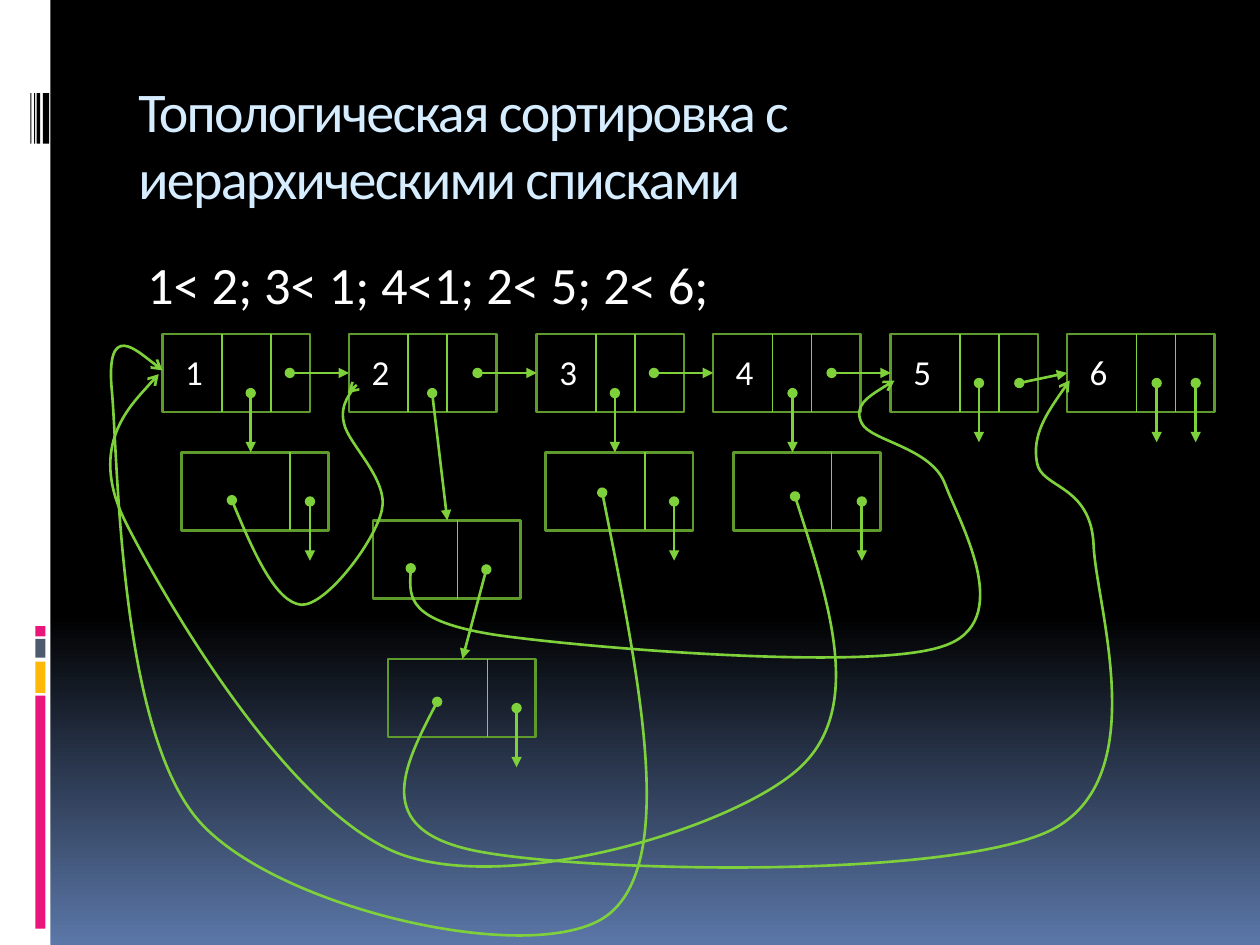
from dataclasses import dataclass
from itertools import pairwise
from lxml.etree import SubElement
from pptx import Presentation
from pptx.dml.color import RGBColor
from pptx.enum.shapes import MSO_CONNECTOR as Conn, MSO_SHAPE as Kind
from pptx.oxml.ns import qn
from pptx.util import Inches, Pt

BLACK = RGBColor(0x00, 0x00, 0x00)
WHITE = RGBColor(0xFF, 0xFF, 0xFF)
BLUE = RGBColor(0x5B, 0x77, 0xA8)
PALE = RGBColor(0xD6, 0xEC, 0xFF)
PINK = RGBColor(0xEA, 0x15, 0x7A)
GOLD = RGBColor(0xFE, 0xB8, 0x0A)
SLATE = RGBColor(0x4E, 0x5B, 0x6F)
GREEN = RGBColor(0x7F, 0xD1, 0x3B)
MOSS = RGBColor(0x5E, 0x9B, 0x2C)

WIDE, HIGH = 1.17, 0.62  # list cell
DROP = 0.47  # length of a short pointer
TOP, ROW = 2.65, 3.59  # leaders, first followers

Point = tuple[float, float]


@dataclass
class Bar:
    left: float
    top: float
    wide: float
    high: float
    color: RGBColor


@dataclass
class Cell:
    left: float
    top: float
    cuts: tuple[float, ...]
    label: str = ""


BARS = [
    Bar(0, 0, 0.4, 7.5, WHITE),
    Bar(0.28, 5.52, 0.08, 1.85, PINK),
    Bar(0.28, 5.25, 0.08, 0.25, GOLD),
    Bar(0.28, 5.07, 0.08, 0.15, SLATE),
    Bar(0.28, 4.97, 0.08, 0.08, PINK),
    Bar(0.34, 0.74, 0.05, 0.4, BLACK),
    Bar(0.29, 0.74, 0.03, 0.4, BLACK),
    Bar(0.27, 0.74, 0.01, 0.4, BLACK),
    Bar(0.24, 0.74, 0.01, 0.4, BLACK),
]
LEADS = [
    Cell(1.29, TOP, (0.47, 0.86), "1"),
    Cell(2.77, TOP, (0.47, 0.78), "2"),
    Cell(4.26, TOP, (0.47, 0.78), "3"),
    Cell(5.66, TOP, (0.47, 0.78), "4"),
    Cell(7.07, TOP, (0.55, 0.86), "5"),
    Cell(8.47, TOP, (0.55, 0.86), "6"),
]
TAILS = [
    Cell(1.44, ROW, (0.86,)),
    Cell(2.96, 4.13, (0.67,)),
    Cell(3.08, 5.23, (0.79,)),
    Cell(4.33, ROW, (0.79,)),
    Cell(5.82, ROW, (0.78,)),
]
# Start points of the short vertical pointers
DROPS = [(1.99, 3.12), (4.88, 3.12), (6.29, 3.12),
         (7.77, 3.04), (9.18, 3.04), (9.49, 3.04),
         (2.46, 3.98), (5.35, 3.98), (6.84, 3.98), (4.1, 5.62)]
SLANTS = [((3.43, 3.12), (3.55, 4.13)), ((3.86, 4.52), (3.67, 5.23))]
# Each curve: a start point, then three Bezier points per piece
CURVES = [
    [(1.84, 3.97), (2.01, 4.38), (2.19, 4.78), (2.39, 4.8),
     (2.59, 4.81), (2.98, 4.29), (3.03, 4.05),
     (3.09, 3.81), (2.76, 3.52), (2.73, 3.36),
     (2.69, 3.2), (2.8, 3.11), (2.81, 3.07),
     (2.81, 3.03), (2.76, 3.12), (2.76, 3.12)],
    [(3.26, 4.51), (3.25, 4.72), (3.23, 4.93), (3.94, 5.04),
     (4.64, 5.14), (6.89, 5.33), (7.48, 5.13),
     (8.08, 4.94), (7.61, 4.14), (7.5, 3.84),
     (7.39, 3.55), (6.91, 3.5), (6.84, 3.36),
     (6.77, 3.22), (6.93, 3.12), (7.1, 3.02)],
    [(3.47, 5.57), (3.21, 6.07), (2.95, 6.58), (3.76, 6.75),
     (4.57, 6.92), (7.52, 6.99), (8.34, 6.59),
     (9.16, 6.18), (8.7, 4.81), (8.68, 4.33),
     (8.66, 3.84), (8.26, 3.88), (8.23, 3.67),
     (8.19, 3.45), (8.34, 3.23), (8.49, 3.02)],
    [(4.78, 3.91), (5.07, 5.36), (5.37, 6.81), (4.84, 7.25),
     (4.31, 7.69), (2.27, 7.24), (1.61, 6.55),
     (0.95, 5.86), (0.94, 3.72), (0.89, 3.12),
     (0.83, 2.52), (1.29, 2.94), (1.29, 2.94)],
    [(6.31, 3.94), (6.58, 4.78), (6.86, 5.63), (6.34, 6.1),
     (5.82, 6.57), (4.07, 7.1), (3.18, 6.78),
     (2.29, 6.45), (1.32, 4.78), (1, 4.15),
     (0.68, 3.52), (1.26, 2.97), (1.26, 2.97)],
]


def add_text(slide, text: str, box: tuple, *, size: float, color=WHITE,
             space=0.0, before=0.0, left=0.0, hang=0.0) -> None:
    shape = slide.shapes.add_textbox(*map(Inches, box))
    shape.text_frame.word_wrap = True
    shape.text_frame.text = text
    para = shape.text_frame.paragraphs[0]
    para.space_before = Pt(before)
    if left:
        props = para._p.get_or_add_pPr()
        props.set("marL", str(Inches(left)))
        props.set("indent", str(Inches(hang)))
    for run in para.runs:
        font = run.font
        font.name, font.size, font.color.rgb = "Calibri", Pt(size), color
        if space:
            run._r.get_or_add_rPr().set("spc", str(round(space * 100)))


def add_rect(slide, box: tuple, fill=None, line=None) -> None:
    shape = slide.shapes.add_shape(Kind.RECTANGLE, *map(Inches, box))
    shape.shadow.inherit = False
    if fill is None:
        shape.fill.background()
    else:
        shape.fill.solid()
        shape.fill.fore_color.rgb = fill
    if line is None:
        shape.line.fill.background()
    else:
        shape.line.color.rgb, shape.line.width = line, Pt(1.5)


def set_ends(shape, tail: str) -> None:
    """Put a dot at the start of a line and an arrowhead at its end."""
    line = shape._element.spPr.find(qn("a:ln"))
    SubElement(line, qn("a:headEnd"), type="oval")
    SubElement(line, qn("a:tailEnd"), type=tail)


def add_line(slide, start: Point, end: Point, width=1.5, arrow=True) -> None:
    line = slide.shapes.add_connector(
        Conn.STRAIGHT, *map(Inches, (*start, *end)))
    line.line.color.rgb, line.line.width = GREEN, Pt(width)
    if arrow:
        set_ends(line, "triangle")
    SubElement(line._element.spPr, qn("a:effectLst"))


def add_curve(slide, points: list[Point]) -> None:
    """Build a freeform on the points, then join each three into a Bezier."""
    start, *rest = [(Inches(x), Inches(y)) for x, y in points]
    form = slide.shapes.build_freeform(*start)
    form.add_line_segments(rest, close=False)
    shape = form.convert_to_shape()
    shape.shadow.inherit = False
    shape.fill.background()
    shape.line.color.rgb, shape.line.width = GREEN, Pt(1.5)
    set_ends(shape, "arrow")
    track = next(shape._element.iter(qn("a:path")))
    steps = track.findall(qn("a:lnTo"))
    for at in range(0, len(steps), 3):
        piece = SubElement(track, qn("a:cubicBezTo"))
        for step in steps[at:at + 3]:
            piece.append(step[0])
            track.remove(step)


def add_cell(slide, cell: Cell) -> None:
    add_rect(slide, (cell.left, cell.top, WIDE, HIGH), line=MOSS)
    for cut in cell.cuts:
        x = cell.left + cut
        add_line(slide, (x, cell.top), (x, cell.top + HIGH), 0.94, False)
    if cell.label:
        box = (cell.left + 0.08, cell.top + 0.08, 0.31, 0.44)
        add_text(slide, cell.label, box, size=20)


def main() -> None:
    deck = Presentation()
    deck.slide_width, deck.slide_height = Inches(10), Inches(7.5)
    slide = deck.slides.add_slide(deck.slide_layouts[6])
    back = slide.background.fill
    back.gradient()
    back.gradient_angle = 270
    for stop, place, color in zip(back.gradient_stops, (0.65, 1), (BLACK, BLUE)):
        stop.position, stop.color.rgb = place, color

    for bar in BARS:
        add_rect(slide, (bar.left, bar.top, bar.wide, bar.high), bar.color)
    add_text(slide, "Топологическая сортировка с \vиерархическими списками",
             (1, 0.56, 8.5, 1), size=32, color=PALE, space=-1)
    add_text(slide, "1< 2; 3< 1; 4<1; 2< 5; 2< 6;", (1, 1.95, 8.5, 1.14),
             size=30, before=7, left=0.45, hang=-0.38)

    for cell in LEADS + TAILS:
        add_cell(slide, cell)
    mid = TOP + HIGH / 2
    for lead, after in pairwise(LEADS):
        start = (after.left - DROP, mid)
        if after is LEADS[-1]:
            start = (lead.left + 1.02, mid + 0.08)
        add_line(slide, start, (after.left, mid))
    for x, y in DROPS:
        add_line(slide, (x, y), (x, y + DROP))
    for start, end in SLANTS:
        add_line(slide, start, end)
    for points in CURVES:
        add_curve(slide, points)
    deck.save("out.pptx")


if __name__ == "__main__":
    main()
